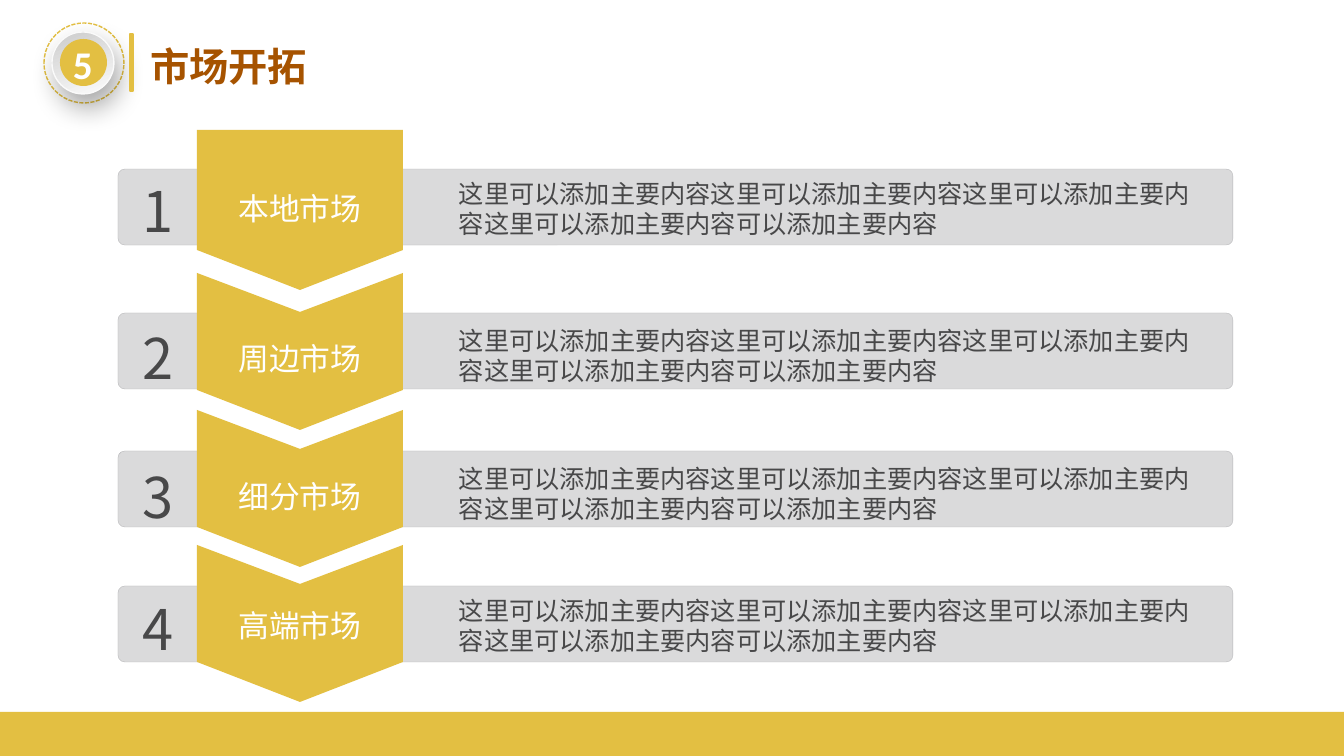
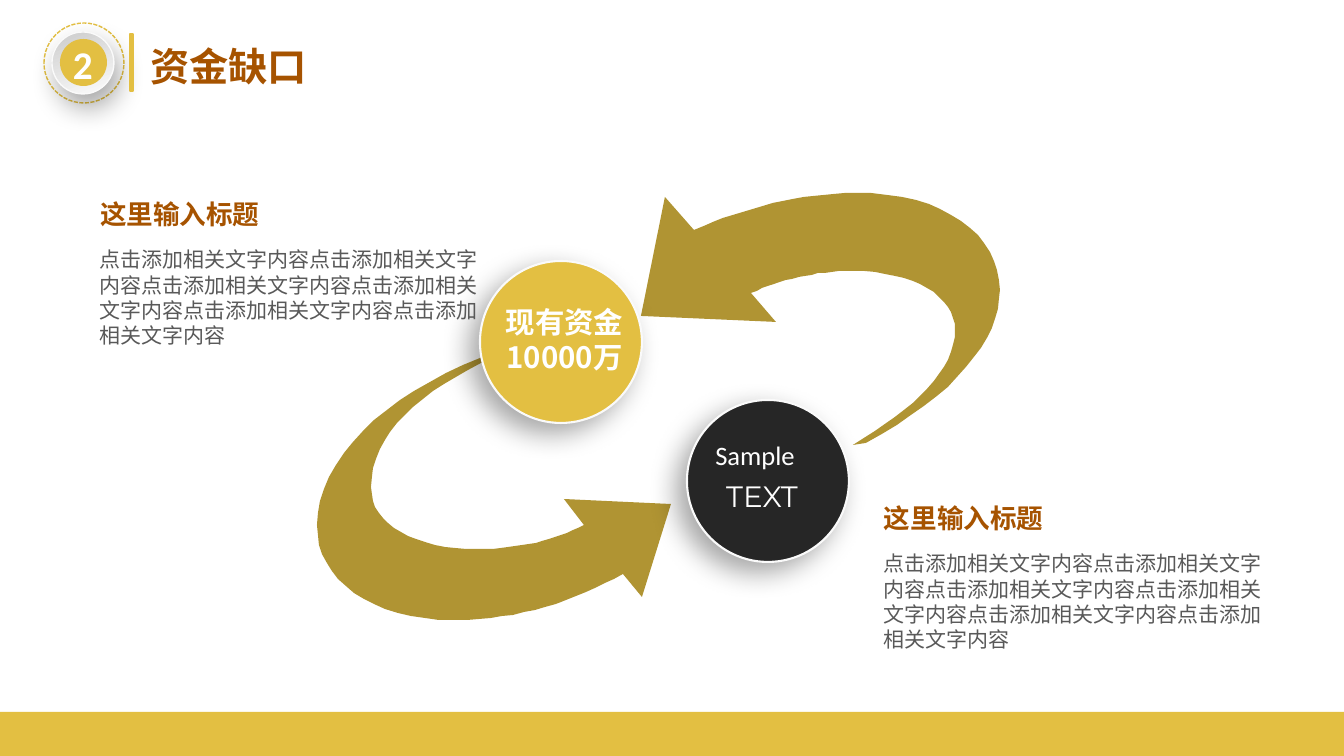
import pptx
import pptx.util
import pptx.dml.color
import pptx.enum.dml
import pptx.enum.shapes
import pptx.enum.text
import lxml.etree

EMU_PER_PX = 914400 / 100.8
SLIDE_W, SLIDE_H = 1344, 756
CJK, LATIN, DISPLAY = "Noto Sans CJK SC", "Calibri", "Montserrat"
COLORS = {
    "gold": "E3BF42", "arrow": "B09433", "brown": "A65300", "white": "FFFFFF",
    "black": "262626", "bar": "DADADB", "bar_edge": "B5B5B7", "rim": "FAFAFA",
    "metal": "CCCCCC", "shine": "FCFCFC", "ink": "484849", "grey": "595959",
}
SHAPE = pptx.enum.shapes.MSO_SHAPE
ALIGN = pptx.enum.text.PP_ALIGN
A = "{http://schemas.openxmlformats.org/drawingml/2006/main}"

MARKET_TEXT = "这里可以添加主要内容" * 4 + "可以添加主要内容"
MARKETS = [
    ("本地市场", 169, 130, 0),
    ("周边市场", 313, 273, 3),
    ("细分市场", 451, 410, 3),
    ("高端市场", 586, 545, 0),
]
FUND_TITLE = "这里输入标题"
FUND_TEXT = "点击添加相关文字内容" * 6
RETURN_ARROW = [
    [(53, 37)],
    [(104, 15), (159, 0), (214, 0)],
    [(304, 0), (359, 42), (359, 97)],
    [(359, 147), (314, 202), (225, 250)],
    [(212, 252)],
    [(274, 215), (314, 177), (314, 137)],
    [(314, 104), (274, 78), (212, 78)],
    [(174, 78), (139, 87), (110, 100)],
    [(135, 129)], [(0, 123)], [(24, 4)],
]
OUTGOING_ARROW = [
    [(306, 217)],
    [(258, 243), (203, 263), (138, 263)],
    [(53, 263), (0, 223), (0, 168)],
    [(0, 103), (68, 38), (163, 1)],
    [(178, 0)],
    [(103, 33), (54, 78), (54, 130)],
    [(54, 168), (98, 192), (161, 192)],
    [(203, 192), (238, 183), (267, 168)],
    [(247, 142)], [(354, 147)], [(325, 240)],
]


def px(length):
    """Turn px into EMU."""
    return pptx.util.Emu(round(length * EMU_PER_PX))


def rgb(name):
    """Look up a palette colour."""
    return pptx.dml.color.RGBColor.from_string(COLORS[name])


def paint(shape, fill=None, line=None, width=1):
    """Set fill and outline and clear the shadow."""
    shape.shadow.inherit = False
    if fill:
        shape.fill.solid()
        shape.fill.fore_color.rgb = rgb(fill)
    else:
        shape.fill.background()
    if line:
        shape.line.color.rgb = rgb(line)
        shape.line.width = pptx.util.Pt(width)
    else:
        shape.line.fill.background()
    return shape


def draw(slide, kind, box, fill=None, line=None, width=1):
    """Add a painted preset shape."""
    return paint(slide.shapes.add_shape(kind, *map(px, box)), fill, line, width)


def cast_shadow(shape, angle):
    """Give a shape a soft outer shadow."""
    effects = shape._element.spPr.find(A + "effectLst")
    shadow = lxml.etree.SubElement(
        effects, A + "outerShdw", blurRad=str(pptx.util.Pt(20)),
        dist=str(pptx.util.Pt(10)), dir=str(angle * 60000),
        algn="ctr", rotWithShape="0")
    color = lxml.etree.SubElement(shadow, A + "srgbClr", val="000000")
    lxml.etree.SubElement(color, A + "alpha", val="34000")


def write(shape, text, size, color, font=CJK, bold=False,
          align=ALIGN.LEFT, wrap=True):
    """Fill a text frame with one formatted paragraph."""
    frame = shape.text_frame
    frame.text = text
    frame.word_wrap = wrap
    frame.auto_size = pptx.enum.text.MSO_AUTO_SIZE.NONE
    frame.vertical_anchor = pptx.enum.text.MSO_ANCHOR.TOP
    frame.margin_left = frame.margin_right = 0
    frame.margin_top = frame.margin_bottom = 0
    paragraph = frame.paragraphs[0]
    paragraph.alignment = align
    paragraph.line_spacing = pptx.util.Pt(round(size * 1.2, 1))
    run = paragraph.runs[0]
    run.font.size = pptx.util.Pt(size)
    run.font.bold = bold
    run.font.color.rgb = rgb(color)
    run.font.name = font
    lxml.etree.SubElement(run._r.get_or_add_rPr(), A + "ea", typeface=font)


def label(slide, box, text, size, color, **style):
    """Add a text box."""
    write(slide.shapes.add_textbox(*map(px, box)), text, size, color, **style)


def outline(slide, points, fill):
    """Add a closed polygon."""
    builder = slide.shapes.build_freeform(*points[0], scale=EMU_PER_PX)
    builder.add_line_segments(points[1:], close=True)
    return paint(builder.convert_to_shape(), fill)


def badge(slide, left, top, number):
    """Draw the round section number."""
    ring = draw(slide, SHAPE.OVAL, (left, top, 80, 80), line="gold")
    ring.line.dash_style = pptx.enum.dml.MSO_LINE.SQUARE_DOT
    dish = draw(slide, SHAPE.OVAL, (left + 8, top + 9, 62, 62), "metal", "rim")
    dish.fill.gradient()
    dish.fill.gradient_angle = 290
    for stop, color, position in zip(
            dish.fill.gradient_stops, ("metal", "shine"), (0, 1)):
        stop.color.rgb = rgb(color)
        stop.position = position
    cast_shadow(dish, 70)
    draw(slide, SHAPE.OVAL, (left + 16, top + 16, 47, 47), "gold")
    label(slide, (left + 29, top + 17, 20, 47), number, 28, "white",
          font=LATIN, bold=True, wrap=False)


def section_slide(deck, number, heading):
    """Add a slide with the shared band, badge and title."""
    slide = deck.slides.add_slide(deck.slide_layouts[5])
    draw(slide, SHAPE.RECTANGLE, (0, 712, SLIDE_W, 44), "gold")
    badge(slide, 44, 23, number)
    title = slide.shapes.title
    title.left, title.top, title.width, title.height = map(
        px, (150, 42, 1100, 47))
    write(title, heading, 28, "brown", bold=True)
    draw(slide, SHAPE.RECTANGLE, (130, 34, 3, 57), "gold", "gold")
    return slide


def market_row(slide, left, top, number, name, chevron_top, shift):
    """Draw one bar with its number, chevron and description."""
    bar = draw(slide, SHAPE.ROUNDED_RECTANGLE, (left, top, 1115, 76),
               "bar", "bar_edge", 0.25)
    bar.adjustments[0] = 0.09
    first = number == 1
    west, middle, east = left + 79, left + 182, left + 285
    shoulder = chevron_top + (120 if first else 117)
    points = [(west, chevron_top), (west, shoulder), (middle, shoulder + 40),
              (east, shoulder), (east, chevron_top)]
    if not first:
        points.append((middle, chevron_top + 39))
    outline(slide, points, "gold")
    label(slide, (left + 17, top + 8 + shift, 46, 68), str(number), 40, "ink",
          align=ALIGN.CENTER)
    label(slide, (west + 27, top + 21 + 2 * shift, 152, 37), name, 22, "white",
          align=ALIGN.CENTER)
    label(slide, (left + 341, top + 9 + shift, 742, 62), MARKET_TEXT, 18, "ink")


def curve(start, control_a, control_b, end, steps=16):
    """Sample a cubic curve after its start."""
    for step in range(1, steps + 1):
        t = step / steps
        u = 1 - t
        yield tuple(
            u ** 3 * a + 3 * u * u * t * b + 3 * u * t * t * c + t ** 3 * d
            for a, b, c, d in zip(start, control_a, control_b, end))


def swoosh(slide, left, top, segments):
    """Draw a curved arrow from straight and cubic segments."""
    points = []
    for segment in segments:
        points.extend(curve(points[-1], *segment) if len(segment) == 3
                      else segment)
    outline(slide, [(left + x, top + y) for x, y in points], "arrow")


def disc(slide, left, top, fill):
    """Draw a rimmed disc with a shadow."""
    cast_shadow(draw(slide, SHAPE.OVAL, (left, top, 162, 162), fill, "rim", 1.5),
                136)


def fund_note(slide, left, top):
    """Place a heading with its paragraph."""
    label(slide, (left, top, 403, 32), FUND_TITLE, 19, "brown", bold=True)
    label(slide, (left, top + 49, 382, 127), FUND_TEXT, 15, "grey")


def market_slide(deck):
    """Build the market expansion slide."""
    slide = section_slide(deck, "5", "市场开拓")
    for number, (name, top, chevron_top, shift) in enumerate(MARKETS, 1):
        market_row(slide, 118, top, number, name, chevron_top, shift)


def funding_slide(deck):
    """Build the funding gap slide."""
    slide = section_slide(deck, "2", "资金缺口")
    swoosh(slide, 641, 193, RETURN_ARROW)
    swoosh(slide, 317, 357, OUTGOING_ARROW)
    disc(slide, 687, 400, "black")
    label(slide, (661, 439, 188, 32), "Sample", 19, "white", font=LATIN,
          align=ALIGN.CENTER)
    label(slide, (668, 478, 188, 36), "TEXT", 21, "white", font=DISPLAY,
          align=ALIGN.CENTER)
    disc(slide, 480, 261, "gold")
    label(slide, (481, 304, 167, 72), "现有资金10000万", 21, "white",
          bold=True, align=ALIGN.CENTER)
    fund_note(slide, 100, 198)
    fund_note(slide, 884, 502)


def main():
    """Build and save the deck."""
    deck = pptx.Presentation()
    deck.slide_width, deck.slide_height = px(SLIDE_W), px(SLIDE_H)
    market_slide(deck)
    funding_slide(deck)
    deck.save("out.pptx")


if __name__ == "__main__":
    main()
